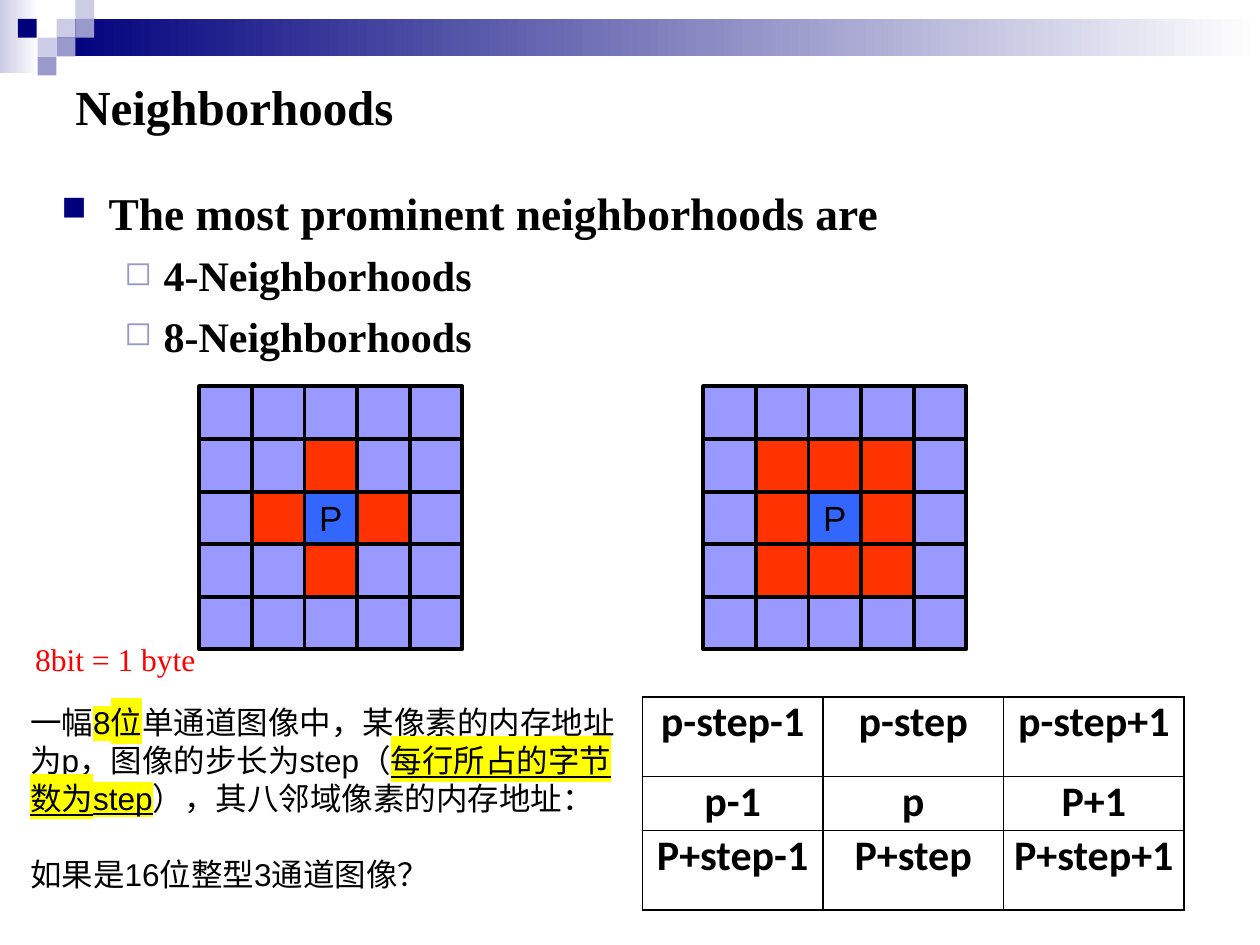
from itertools import product

from lxml import etree
from pptx import Presentation, util as u
from pptx.dml.color import RGBColor
from pptx.enum import shapes, text
from pptx.oxml import ns

COLORS = {
    "ink": "000000", "navy": "00007D", "mist": "CCCCE6", "slate": "9999CC",
    "white": "FFFFFF", "pixel": "9999FF", "neighbor": "FF3300", "center": "3366FF",
    "alert": "FF0000", "marker": "FFFF00",
}
TITLE = {"name": "Times New Roman", "size": u.Pt(28), "bold": True}
TOPIC = {**TITLE, "size": u.Pt(26)}
ITEM = {**TITLE, "size": u.Pt(24)}
NOTE = {"name": "Arial", "size": u.Pt(18)}
SERIF_NOTE = {**NOTE, "name": "Times New Roman"}
PIXEL_LABEL = {"name": "Arial", "size": u.Pt(20)}
ADDRESS = {"name": "Calibri", "size": u.Pt(24), "bold": True}


class Deck:
    """Keep the slide style and draw each kind of element on the current slide."""

    def __init__(self, width, height):
        self.show = Presentation()
        self.show.slide_width, self.show.slide_height = u.Cm(width), u.Cm(height)
        self.slide = self.show.slides.add_slide(self.show.slide_layouts[6])

    def rgb(self, color):
        return RGBColor.from_string(COLORS[color])

    def add_xml(self, parent, tag, **attributes):
        return etree.SubElement(parent, ns.qn(tag), attributes)

    def add_words(self, paragraph, words, style, color="ink", marked=False):
        run = paragraph.add_run()
        run.text = words
        for name, value in style.items():
            setattr(run.font, name, value)
        run.font.color.rgb = self.rgb(color)
        if marked:
            highlight = etree.Element(ns.qn("a:highlight"))
            self.add_xml(highlight, "a:srgbClr", val=COLORS["marker"])
            run._r.get_or_add_rPr().find(ns.qn("a:solidFill")).addnext(highlight)

    def box(self, left, top, width, height, **formats):
        frame = self.slide.shapes.add_textbox(
            *map(u.Cm, (left, top, width, height))).text_frame
        for name, value in {"word_wrap": True, **formats}.items():
            setattr(frame, name, value)
        return frame

    def bullet(self, paragraph, sign, color, percent, margin, hanging):
        props = paragraph._p.get_or_add_pPr()
        props.set("marL", str(u.Cm(margin)))
        props.set("indent", str(-u.Cm(hanging)))
        self.add_xml(self.add_xml(props, "a:buClr"), "a:srgbClr", val=COLORS[color])
        self.add_xml(props, "a:buSzPct", val=str(percent * 1000))
        self.add_xml(props, "a:buChar", char=sign)

    def rectangle(self, left, top, width, height, *colors, home=None, border=None):
        block = (home or self.slide).shapes.add_shape(
            shapes.MSO_SHAPE.RECTANGLE, *map(u.Cm, (left, top, width, height)))
        block.shadow.inherit = False
        if len(colors) > 1:
            block.fill.gradient()
            block.fill.gradient_angle = 0
            for stop, color in zip(block.fill.gradient_stops, colors):
                stop.color.rgb = self.rgb(color)
        else:
            block.fill.solid()
            block.fill.fore_color.rgb = self.rgb(colors[0])
        if border:
            block.line.width = u.Pt(border)
            block.line.color.rgb = self.rgb("ink")
        else:
            block.line.fill.background()
        return block

    def neighborhood(self, left, top, is_neighbor, count=5, side=1.06):
        grid = self.slide.shapes.add_group_shape()
        for row, column in product(range(count), repeat=2):
            offsets = abs(row - count // 2), abs(column - count // 2)
            is_center = not any(offsets)
            color = ("center" if is_center else
                     "neighbor" if is_neighbor(offsets) else "pixel")
            pixel = self.rectangle(left + column * side, top + row * side, side, side,
                                   color, home=grid, border=2.25)
            if is_center:
                frame = pixel.text_frame
                frame.word_wrap = False
                frame.vertical_anchor = text.MSO_ANCHOR.MIDDLE
                frame.paragraphs[0].alignment = text.PP_ALIGN.CENTER
                self.add_words(frame.paragraphs[0], "P", PIXEL_LABEL)

    def table(self, left, top, column_width, row_heights, rows):
        addresses = self.slide.shapes.add_table(
            len(rows), len(rows[0]), u.Cm(left), u.Cm(top),
            u.Cm(column_width * len(rows[0])), u.Cm(sum(row_heights))).table
        addresses.first_row = addresses.horz_banding = False
        for row, height in zip(addresses.rows, row_heights):
            row.height = u.Cm(height)
        margins = {"margin_left": u.Cm(0.18), "margin_right": u.Cm(0.18),
                   "margin_top": 0, "margin_bottom": 0}
        for cell, words in zip(addresses.iter_cells(), sum(rows, [])):
            for name, value in margins.items():
                setattr(cell, name, value)
            for edge in ("a:lnL", "a:lnR", "a:lnT", "a:lnB"):
                line = self.add_xml(cell._tc.get_or_add_tcPr(), edge, w=str(u.Pt(1)))
                self.add_xml(self.add_xml(line, "a:solidFill"), "a:srgbClr",
                             val=COLORS["ink"])
            cell.fill.background()
            label = cell.text_frame.paragraphs[0]
            label.alignment = text.PP_ALIGN.CENTER
            self.add_words(label, words, ADDRESS)


def main():
    deck = Deck(25.4, 19.05)

    deck.rectangle(0, 0, 0.79, 1.47, "mist", "white")
    deck.rectangle(1.14, 0.38, 24.26, 0.76, "navy", "white")
    for left, top, color in [
        (1.14, 0.38, "mist"), (1.52, 0, "mist"), (1.52, 0.38, "slate"),
        (0.76, 0.76, "mist"), (0.36, 0.38, "navy"), (1.14, 0.76, "slate"),
        (0.76, 1.14, "slate"),
    ]:
        deck.rectangle(left, top, 0.38, 0.38, color)

    title = deck.box(1.27, 0.79, 23.14, 2.69, vertical_anchor=text.MSO_ANCHOR.MIDDLE)
    deck.add_words(title.paragraphs[0], "Neighborhoods", TITLE)

    outline = deck.box(0.99, 3.6, 23.47, 4)
    topic = outline.paragraphs[0]
    deck.bullet(topic, "■", "navy", 75, 0.95, 0.95)
    deck.add_words(topic, "The most prominent neighborhoods are", TOPIC)
    for words in ("4-Neighborhoods", "8-Neighborhoods"):
        item = outline.add_paragraph()
        item.level = 1
        item.space_before = u.Pt(6)
        deck.bullet(item, "◻", "slate", 80, 2.06, 0.79)
        deck.add_words(item, words, ITEM)

    deck.neighborhood(4.02, 7.79, lambda offsets: sum(offsets) == 1)
    deck.neighborhood(14.18, 7.79, lambda offsets: max(offsets) == 1)

    deck.table(12.95, 14.05, 3.64, (1.6, 1.09, 1.6), [
        ["p-step-1", "p-step", "p-step+1"],
        ["p-1", "p", "P+1"],
        ["P+step-1", "P+step", "P+step+1"],
    ])

    fit = {"auto_size": text.MSO_AUTO_SIZE.SHAPE_TO_FIT_TEXT}
    memory = deck.box(0.36, 14.05, 12.32, 4.88, **fit)
    premise = memory.paragraphs[0]
    deck.add_words(premise, "一幅", NOTE)
    deck.add_words(premise, "8位", NOTE, marked=True)
    deck.add_words(premise, "单通道图像中，某像素的内存地址为p，图像的步长为step（", NOTE)
    deck.add_words(premise, "每行所占的字节数为step", {**NOTE, "underline": True},
                   marked=True)
    deck.add_words(premise, "），其八邻域像素的内存地址：", NOTE)
    question = memory.add_paragraph()
    question.space_before = u.Pt(22)
    deck.add_words(question, "如果是", SERIF_NOTE)
    deck.add_words(question, "16位整型3通道图像？", NOTE)

    unit = deck.box(0.46, 12.78, 6.73, 1.02, **fit)
    deck.add_words(unit.paragraphs[0], "8bit = 1 byte", SERIF_NOTE, "alert")

    deck.show.save("out.pptx")


if __name__ == "__main__":
    main()
